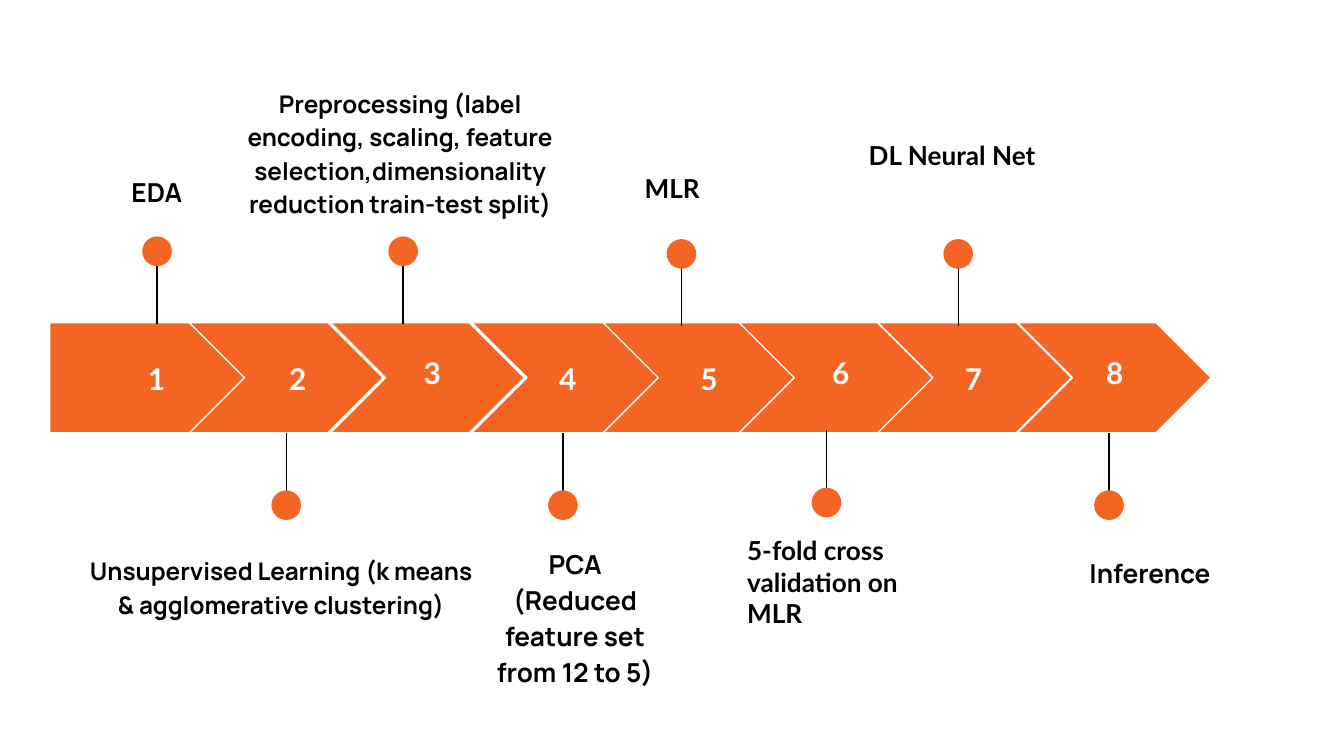
from collections import namedtuple

from lxml import etree
from pptx import Presentation
from pptx.dml.color import RGBColor
from pptx.enum.shapes import MSO_CONNECTOR as Connector, MSO_SHAPE as Shape
from pptx.enum.text import MSO_ANCHOR as Anchor, PP_ALIGN as Align
from pptx.oxml.ns import qn
from pptx.util import Cm, Pt

COLORS = {"orange": "F46524", "white": "FFFFFF", "black": "000000"}
Box = namedtuple("Box", "left top width height")
Step = namedtuple("Step", "left number_x number_y")
Milestone = namedtuple("Milestone", "pin_x reach label text style")

BAND = Box(0.94, 6.1, 21.95, 2.08)
CHEVRON_WIDTH = 3.66
FIRST_WIDTH = 3.89
NUMBER = Box(0, 0, 2.01, 1.3)
DOT = 0.56
STEM = 1.55
STEM_INSET = 0.1

# Left edge, number centre and number top, measured from the band
STEPS = [
    Step(0, 2.02, 0.4), Step(2.64, 4.69, 0.4), Step(5.31, 7.23, 0.3),
    Step(7.98, 9.79, 0.4), Step(10.46, 12.46, 0.4), Step(13.03, 14.95, 0.3),
    Step(15.65, 17.46, 0.4), Step(18.29, 20.13, 0.3),
]

SPACED = dict(font="Manrope", line_spacing=1.15, space_after=16)
DETAIL = dict(SPACED, size=13)
PLAIN = dict(font="Lato")

# Odd steps are pinned above the band, even steps below it
MILESTONES = [
    Milestone(2.03, 1.63, Box(1.02, -3.1, 2.01, 1.12), "EDA", SPACED),
    Milestone(4.47, 1.65, Box(0.33, 4.09, 8.08, 2.31),
              "Unsupervised Learning (k means & agglomerative clustering)", DETAIL),
    Milestone(6.68, 1.63, Box(3.23, -4.75, 6.78, 4.75),
              "Preprocessing (label encoding, scaling, feature "
              "selection,dimensionality reduction train-test split)",
              dict(DETAIL, space_after=0)),
    Milestone(9.7, 1.65, Box(8.1, 3.93, 3.66, 3.4),
              "PCA (Reduced feature set from 12 to 5)", SPACED),
    Milestone(11.94, 1.58, Box(10.16, -3.1, 3.33, 1.12), "MLR ", PLAIN),
    Milestone(14.68, 1.6, Box(12.93, 3.76, 4.04, 2.31),
              "5-fold cross validation on MLR", dict(PLAIN, align=Align.LEFT)),
    Milestone(17.17, 1.58, Box(14.96, -3.71, 4.19, 1.12), "DL Neural Net", PLAIN),
    Milestone(20.02, 1.65, Box(19.13, 4.09, 3.33, 1.65), "Inference", SPACED),
]


def color(name):
    return RGBColor.from_string(COLORS[name])


def cm_box(box):
    return [Cm(length) for length in box]


def add_text(slide, box, text, font="Lato", size=14, ink="black",
             align=Align.CENTER, anchor=Anchor.TOP, line_spacing=1, space_after=0):
    frame = slide.shapes.add_textbox(*cm_box(box)).text_frame
    frame.word_wrap = True
    frame.vertical_anchor = anchor
    frame.margin_left = frame.margin_right = Cm(0.25)
    frame.margin_top = frame.margin_bottom = Cm(0.25)
    paragraph = frame.paragraphs[0]
    paragraph.alignment = align
    paragraph.line_spacing = line_spacing
    paragraph.space_after = Pt(space_after)
    run = paragraph.add_run()
    run.text = text
    run.font.name = font
    run.font.size = Pt(size)
    run.font.bold = True
    run.font.color.rgb = color(ink)


def add_orange(slide, kind, box):
    shape = slide.shapes.add_shape(kind, *cm_box(box))
    shape.shadow.inherit = False
    shape.fill.solid()
    shape.fill.fore_color.rgb = color("orange")
    return shape


def draw_band(slide, band):
    # Arrow segments
    for index, step in enumerate(STEPS):
        first = index == 0
        arrow = add_orange(
            slide, Shape.PENTAGON if first else Shape.CHEVRON,
            Box(band.left + step.left, band.top,
                FIRST_WIDTH if first else CHEVRON_WIDTH, band.height))
        arrow.line.color.rgb = color("white")
        arrow.line.width = Pt(0.75)

    # Step numbers
    for number, step in enumerate(STEPS, 1):
        place = NUMBER._replace(left=band.left + step.number_x - NUMBER.width / 2,
                                top=band.top + step.number_y)
        add_text(slide, place, str(number), size=16, ink="white",
                 anchor=Anchor.MIDDLE)


def draw_milestone(slide, band, milestone, above):
    x = band.left + milestone.pin_x
    inward = 1 if above else -1
    edge = band.top if above else band.top + band.height
    tip = edge - inward * milestone.reach

    # Stem
    start = tip + inward * STEM_INSET
    stem = slide.shapes.add_connector(
        Connector.STRAIGHT, Cm(x), Cm(start), Cm(x), Cm(start + inward * STEM))
    stem.line.color.rgb = color("black")
    stem.line.width = Pt(0.75)
    etree.SubElement(stem._element.spPr, qn("a:effectLst"))

    # Dot
    dot_top = tip if above else tip - DOT
    dot = add_orange(slide, Shape.OVAL, Box(x - DOT / 2, dot_top, DOT, DOT))
    dot.line.fill.background()

    # Label
    label = milestone.label
    place = label._replace(left=band.left + label.left, top=band.top + label.top)
    add_text(slide, place, milestone.text, **milestone.style)


def main():
    deck = Presentation()
    deck.slide_width, deck.slide_height = Cm(25.4), Cm(14.29)
    slide = deck.slides.add_slide(deck.slide_layouts[6])
    draw_band(slide, BAND)
    for index, milestone in enumerate(MILESTONES):
        draw_milestone(slide, BAND, milestone, above=index % 2 == 0)
    deck.save("out.pptx")


if __name__ == "__main__":
    main()
